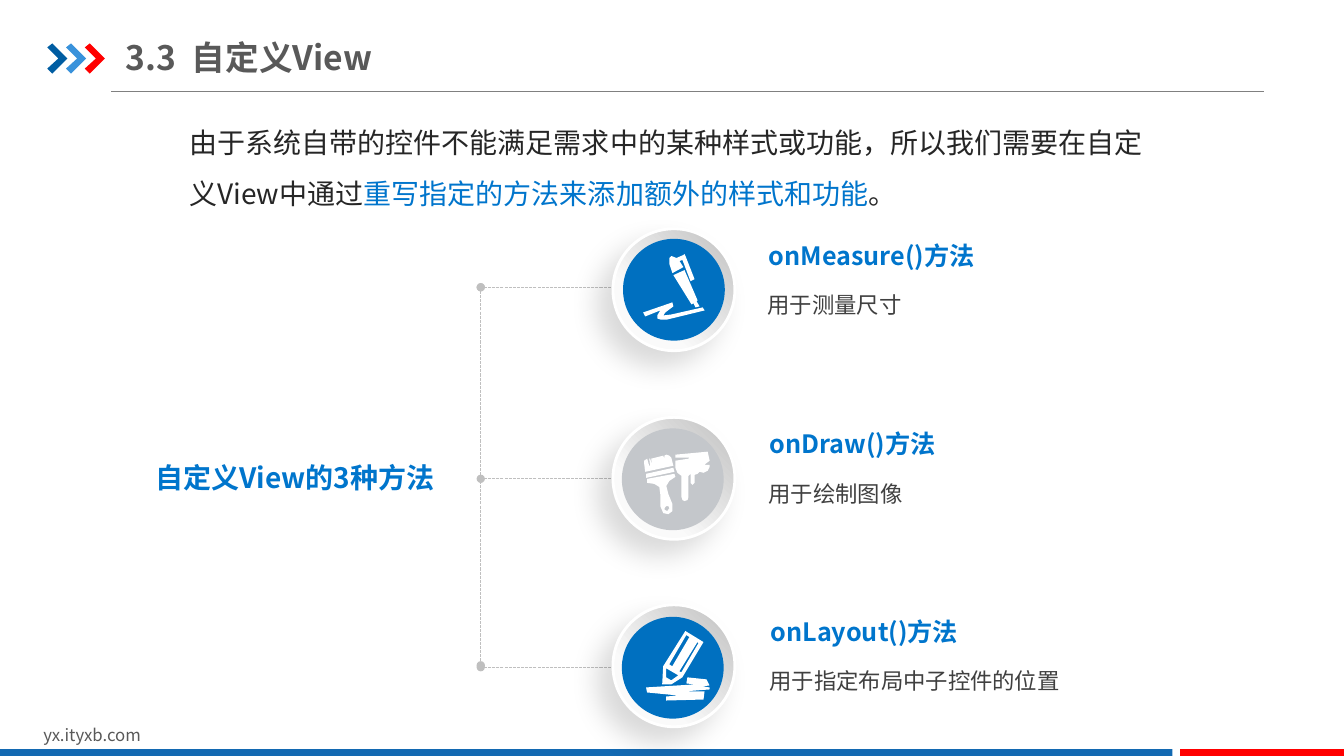
from lxml.etree import SubElement
from pptx import Presentation
from pptx.dml.color import RGBColor
from pptx.enum.dml import MSO_LINE
from pptx.enum.shapes import MSO_CONNECTOR, MSO_SHAPE
from pptx.enum.text import MSO_ANCHOR as Anchor, MSO_AUTO_SIZE as AutoSize, PP_ALIGN as Align
from pptx.oxml.ns import qn
from pptx.util import Pt

FONT = "Noto Sans CJK SC"
WHITE = RGBColor(0xFF, 0xFF, 0xFF)
NAVY = RGBColor(0x00, 0x5D, 0xA2)
SKY = RGBColor(0x39, 0x92, 0xDB)
RED = RGBColor(0xFF, 0x00, 0x00)
BAR_BLUE = RGBColor(0x13, 0x69, 0xB2)
DISC_BLUE = RGBColor(0x00, 0x70, 0xC0)
DISC_GRAY = RGBColor(0xC4, 0xC7, 0xCB)
ACCENT = RGBColor(0x00, 0x75, 0xCC)
HEADING = RGBColor(0x59, 0x59, 0x59)
BODY = RGBColor(0x26, 0x26, 0x26)
DETAIL = RGBColor(0x40, 0x40, 0x40)
RULE = RGBColor(0x80, 0x80, 0x80)
BRANCH = RGBColor(0xBF, 0xBF, 0xBF)
RING_LIGHT = RGBColor(0xFA, 0xFA, 0xFA)

ICON_UNIT = Pt(0.72)
CHEVRON = [[(0, 4), (5, 0), (20, 15), (5, 30), (0, 25), (11, 15)]]
PEN = [
    [(30, 22), (41, 17), (54, 47), (53, 48), (56, 53), (52, 54), (50, 50), (48, 51)],
    [(0, 59), (2, 63), (17, 57), (14, 62), (14, 65), (17, 66), (24, 66), (61, 57),
     (59, 54), (28, 61), (20, 62), (22, 59), (30, 53), (29, 49)],
    [(33, 5), (28, 3), (26, 5), (26, 11), (29, 20), (40, 14), (36, 8), (39, 7),
     (47, 28), (51, 26), (42, 3), (41, 1), (40, 2)],
]
BRUSHES = [
    [(51, 23), (51, 31), (49, 33), (47, 31), (47, 22), (45, 24), (45, 45), (44, 48),
     (41, 49), (39, 48), (38, 45), (38, 24), (34, 21), (32, 16), (32, 9), (45, 7),
     (46, 6), (32, 6), (32, 3), (64, 0), (66, 9), (62, 12), (61, 13), (66, 13),
     (66, 15), (64, 19), (60, 21), (56, 20), (54, 22)],
    [(3, 22), (30, 16), (31, 20), (3, 26)],
    [(31, 22), (4, 27), (4, 31), (11, 32), (16, 35), (17, 42), (17, 54), (20, 61),
     (25, 62), (29, 59), (29, 52), (25, 42), (23, 34), (26, 29), (32, 25)],
    [(23, 54), (25, 54), (26, 56), (24, 59), (22, 58), (21, 57), (22, 55)],
    [(30, 14), (28, 6), (26, 4), (23, 3), (21, 4), (21, 7), (20, 4), (8, 7), (9, 14),
     (7, 7), (6, 7), (7, 14), (6, 14), (4, 7), (1, 9), (1, 12), (2, 20)],
]
PENCIL = [
    [(39, 0), (57, 11), (36, 46), (25, 53), (16, 53), (17, 35)],
    [(57, 68), (58, 60), (37, 60), (63, 58), (63, 56), (56, 55), (63, 54), (60, 48),
     (41, 46), (40, 52), (48, 53), (0, 56), (1, 61), (32, 64), (20, 65), (20, 69)],
    [(25, 49), (32, 44), (20, 37), (20, 46)],
    [(51, 11), (33, 40), (35, 41), (52, 12)],
    [(40, 4), (23, 33), (26, 35), (43, 6)],
]


class SlideBuilder:
    def __init__(self, slide):
        self.slide = slide
        self.shapes = slide.shapes

    def fill_plain(self, shape, color):
        shape.shadow.inherit = False
        shape.fill.solid()
        shape.fill.fore_color.rgb = color
        shape.line.fill.background()

    def preset(self, kind, left, top, width, height, color):
        shape = self.shapes.add_shape(kind, Pt(left), Pt(top), Pt(width), Pt(height))
        self.fill_plain(shape, color)
        return shape

    def outline(self, contours, left, top, color):
        builder = self.shapes.build_freeform(*contours[0][0], scale=ICON_UNIT)
        for contour in contours:
            builder.move_to(*contour[0])
            builder.add_line_segments(contour[1:], close=True)
        self.fill_plain(builder.convert_to_shape(Pt(left), Pt(top)), color)

    def line(self, start, end, color, branch=False):
        ends = [Pt(value) for value in (*start, *end)]
        connector = self.shapes.add_connector(MSO_CONNECTOR.STRAIGHT, *ends)
        connector.line.color.rgb = color
        connector.line.width = Pt(0.75)
        properties = connector._element.spPr
        if branch:
            connector.line.dash_style = MSO_LINE.SQUARE_DOT
            for tag in ("a:headEnd", "a:tailEnd"):
                SubElement(properties.find(qn("a:ln")), qn(tag), type="oval")
        SubElement(properties, qn("a:effectLst"))

    def ring(self, left, top, size):
        shape = self.preset(MSO_SHAPE.OVAL, left, top, size, size, WHITE)
        shape.fill.gradient()
        shape.fill.gradient_angle = 225
        for stop, color, position in zip(shape.fill.gradient_stops, (BRANCH, RING_LIGHT), (0, 0.7)):
            stop.color.rgb = color
            stop.position = position
        shape.line.color.rgb = WHITE
        shape.line.width = Pt(2)
        effects = shape._element.spPr.find(qn("a:effectLst"))
        shadow = SubElement(effects, qn("a:outerShdw"), blurRad=str(Pt(20)), dist=str(Pt(15)),
                            dir="8100000", algn="tr", rotWithShape="0")
        shade = SubElement(shadow, qn("a:srgbClr"), val="000000")
        SubElement(shade, qn("a:alpha"), val="15000")

    def set_text(self, shape, parts, size, bold=False, insets=(0, 0), anchor=Anchor.TOP,
                 align=Align.LEFT, spacing=1.0):
        frame = shape.text_frame
        frame.word_wrap = True
        frame.auto_size = AutoSize.NONE
        frame.vertical_anchor = anchor
        frame.margin_left = frame.margin_right = Pt(insets[0])
        frame.margin_top = frame.margin_bottom = Pt(insets[1])
        paragraph = frame.paragraphs[0]
        paragraph.alignment = align
        paragraph.line_spacing = spacing
        for text, color in parts:
            run = paragraph.add_run()
            run.text = text
            run.font.size = Pt(size)
            run.font.bold = bold
            run.font.name = FONT
            run.font.color.rgb = color
            SubElement(run.font._element, qn("a:ea"), typeface=FONT)
        return paragraph

    def title(self, text, left, top, width, height):
        shape = self.shapes.title
        shape.left, shape.top, shape.width, shape.height = map(Pt, (left, top, width, height))
        self.set_text(shape, [(text, HEADING)], 24, bold=True, insets=(0, 5),
                      anchor=Anchor.MIDDLE)

    def text(self, parts, left, top, width, height, size, **style):
        shape = self.shapes.add_textbox(Pt(left), Pt(top), Pt(width), Pt(height))
        return self.set_text(shape, parts, size, **style)


def main():
    presentation = Presentation()
    presentation.slide_width = Pt(960)
    presentation.slide_height = Pt(540)
    builder = SlideBuilder(presentation.slides.add_slide(presentation.slide_layouts[5]))

    builder.line((79.4, 65.5), (903, 65.5), RULE)
    for index, color in enumerate((NAVY, SKY, RED)):
        builder.outline(CHEVRON, 33.8 + index * 13.4, 31, color)
    builder.text([("yx.ityxb.com", HEADING)], 23.8, 514, 229, 21.6, 12, insets=(7.2, 3.6))
    builder.preset(MSO_SHAPE.RECTANGLE, 0, 535, 837.4, 6.5, BAR_BLUE)
    builder.preset(MSO_SHAPE.RECTANGLE, 843, 535, 117, 6.5, RED)

    builder.title("3.3  自定义View", 90, 20.9, 306.7, 39.6)
    introduction = builder.text(
        [("由于系统自带的控件不能满足需求中的某种样式或功能，所以我们需要在自定义View中通过", BODY),
         ("重写指定的方法来添加额外的样式和功能", ACCENT), ("。", BODY)],
        92.2, 74.2, 748, 99.4, 20, insets=(7.2, 3.6), spacing=1.5)
    introduction._p.get_or_add_pPr().set("marL", str(Pt(36)))
    introduction._p.get_or_add_pPr().set("indent", "0")

    trunk = 343.4
    methods = [
        (205.2, 163.4, (445, 170.6), DISC_BLUE, PEN, (459.4, 180.7), 549,
         "onMeasure()方法", "用于测量尺寸"),
        (342, 298.1, (444.2, 306), DISC_GRAY, BRUSHES, (459.4, 322.6), 549.7,
         "onDraw()方法", "用于绘制图像"),
        (476.6, 432, (444.2, 440.6), DISC_BLUE, PENCIL, (461.5, 450.7), 550.4,
         "onLayout()方法", "用于指定布局中子控件的位置"),
    ]
    builder.line((trunk, 205.2), (trunk, 475.2), BRANCH, branch=True)
    for branch, ring, disc, color, icon, corner, left, name, purpose in methods:
        builder.line((483.1, branch), (trunk, branch), BRANCH, branch=True)
        builder.ring(437.8, ring, 87.1)
        builder.preset(MSO_SHAPE.OVAL, *disc, 72.7, 72.7, color)
        builder.outline(icon, *corner, WHITE)
        builder.text([(name, ACCENT)], left, ring + 8, 215, 26, 18, bold=True)
        builder.text([(purpose, DETAIL)], left - 0.7, ring + 40.7, 321, 21.6, 16,
                     align=Align.JUSTIFY, spacing=1.2)
    builder.text([("自定义View的3种方法", ACCENT)], 110.9, 319, 207.4, 43.2, 20, bold=True,
                 anchor=Anchor.MIDDLE)

    presentation.save("out.pptx")


if __name__ == "__main__":
    main()
